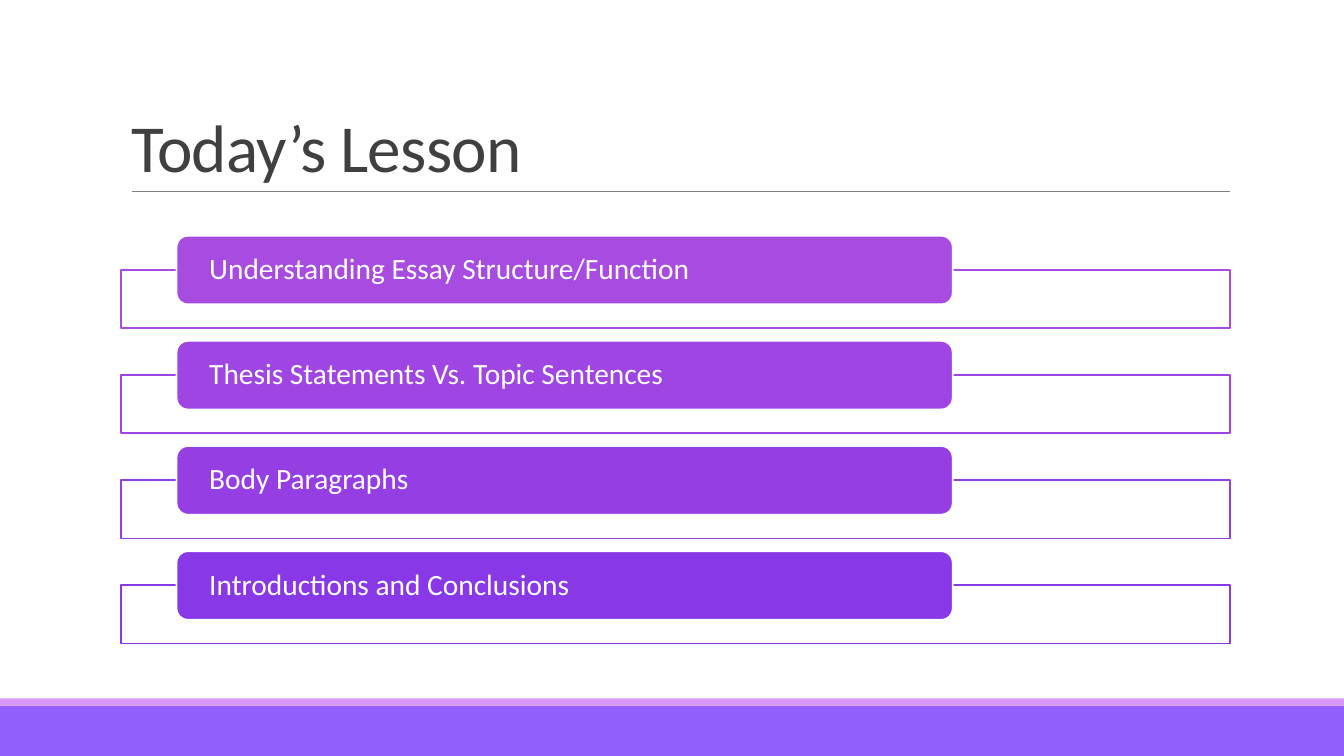
from lxml import etree
from pptx import Presentation
from pptx.dml.color import RGBColor
from pptx.enum import shapes, text
from pptx.oxml import ns
from pptx.util import Cm, Pt

FONT = "Calibri"
WHITE = RGBColor(0xFF, 0xFF, 0xFF)
TITLE_GRAY = RGBColor(0x40, 0x40, 0x40)
RULE_GRAY = RGBColor(0x80, 0x80, 0x80)
FOOTER_VIOLET = RGBColor(0x92, 0x5F, 0xFD)
FOOTER_LILAC = RGBColor(0xDA, 0x97, 0xFB)

TOPICS = [
    ("Understanding Essay Structure/Function", RGBColor(0xA8, 0x4B, 0xE1)),
    ("Thesis Statements Vs. Topic Sentences", RGBColor(0x9E, 0x45, 0xE3)),
    ("Body Paragraphs", RGBColor(0x94, 0x3E, 0xE4)),
    ("Introductions and Conclusions", RGBColor(0x88, 0x38, 0xE6)),
]
FIRST_TOP = Cm(5.94)
TOPIC_PITCH = Cm(2.65)
FRAME_DROP = Cm(0.86)


def add_block(slide, kind, left, top, width, height, fill, outline=None):
    block = slide.shapes.add_shape(kind, left, top, width, height)
    block.shadow.inherit = False
    block.fill.solid()
    block.fill.fore_color.rgb = fill
    if outline is None:
        block.line.fill.background()
    else:
        block.line.color.rgb = outline
        block.line.width = Pt(1.25)
    return block


def set_opacity(block, percent):
    color = block.fill._xPr.find(".//" + ns.qn("a:srgbClr"))
    etree.SubElement(color, ns.qn("a:alpha"), val=str(percent * 1000))


def style_text(frame, size, color, line_spacing):
    paragraph = frame.paragraphs[0]
    paragraph.alignment = text.PP_ALIGN.LEFT
    paragraph.line_spacing = line_spacing
    for run in paragraph.runs:
        run.font.name = FONT
        run.font.size = Pt(size)
        run.font.color.rgb = color


def add_footer_bands(slide, slide_width):
    rectangle = shapes.MSO_SHAPE.RECTANGLE
    add_block(slide, rectangle, 0, Cm(17.78), slide_width, Cm(1.27), FOOTER_VIOLET)
    add_block(slide, rectangle, 0, Cm(17.6), slide_width, Cm(0.18), FOOTER_LILAC)


def add_title_rule(slide):
    rule = slide.shapes.add_connector(
        shapes.MSO_CONNECTOR.STRAIGHT, Cm(3.32), Cm(4.83), Cm(31), Cm(4.83))
    rule.line.color.rgb = RULE_GRAY
    rule.line.width = Pt(0.5)
    etree.SubElement(rule._element.spPr, ns.qn("a:effectLst"))


def set_title(slide, wording):
    title = slide.shapes.title
    title.left, title.top, title.width, title.height = Cm(3.05), Cm(0.79), Cm(27.94), Cm(4.03)
    frame = title.text_frame
    frame.text = wording
    frame.word_wrap = True
    frame.auto_size = text.MSO_AUTO_SIZE.NONE
    frame.vertical_anchor = text.MSO_ANCHOR.BOTTOM
    style_text(frame, 48, TITLE_GRAY, 0.85)
    frame.paragraphs[0].runs[0]._r.get_or_add_rPr().set("spc", "-50")


def add_topic(slide, top, wording, color):
    """Add a rounded heading that overlaps the outlined frame below it."""
    frame_box = add_block(slide, shapes.MSO_SHAPE.RECTANGLE, Cm(3.05), top + FRAME_DROP,
                          Cm(27.94), Cm(1.47), WHITE, color)
    set_opacity(frame_box, 90)
    heading = add_block(slide, shapes.MSO_SHAPE.ROUNDED_RECTANGLE, Cm(4.45), top,
                        Cm(19.56), Cm(1.73), color, WHITE)
    frame = heading.text_frame
    frame.text = wording
    frame.word_wrap = True
    frame.vertical_anchor = text.MSO_ANCHOR.MIDDLE
    frame.margin_left = frame.margin_right = Cm(0.74)
    frame.margin_top = frame.margin_bottom = 0
    style_text(frame, 21, WHITE, 0.9)


def main():
    deck = Presentation()
    deck.slide_width, deck.slide_height = Cm(33.87), Cm(19.05)
    slide = deck.slides.add_slide(deck.slide_layouts.get_by_name("Title Only"))
    add_footer_bands(slide, deck.slide_width)
    add_title_rule(slide)
    set_title(slide, "Today’s Lesson")
    for row, (wording, color) in enumerate(TOPICS):
        add_topic(slide, FIRST_TOP + row * TOPIC_PITCH, wording, color)
    deck.save("out.pptx")


if __name__ == "__main__":
    main()
